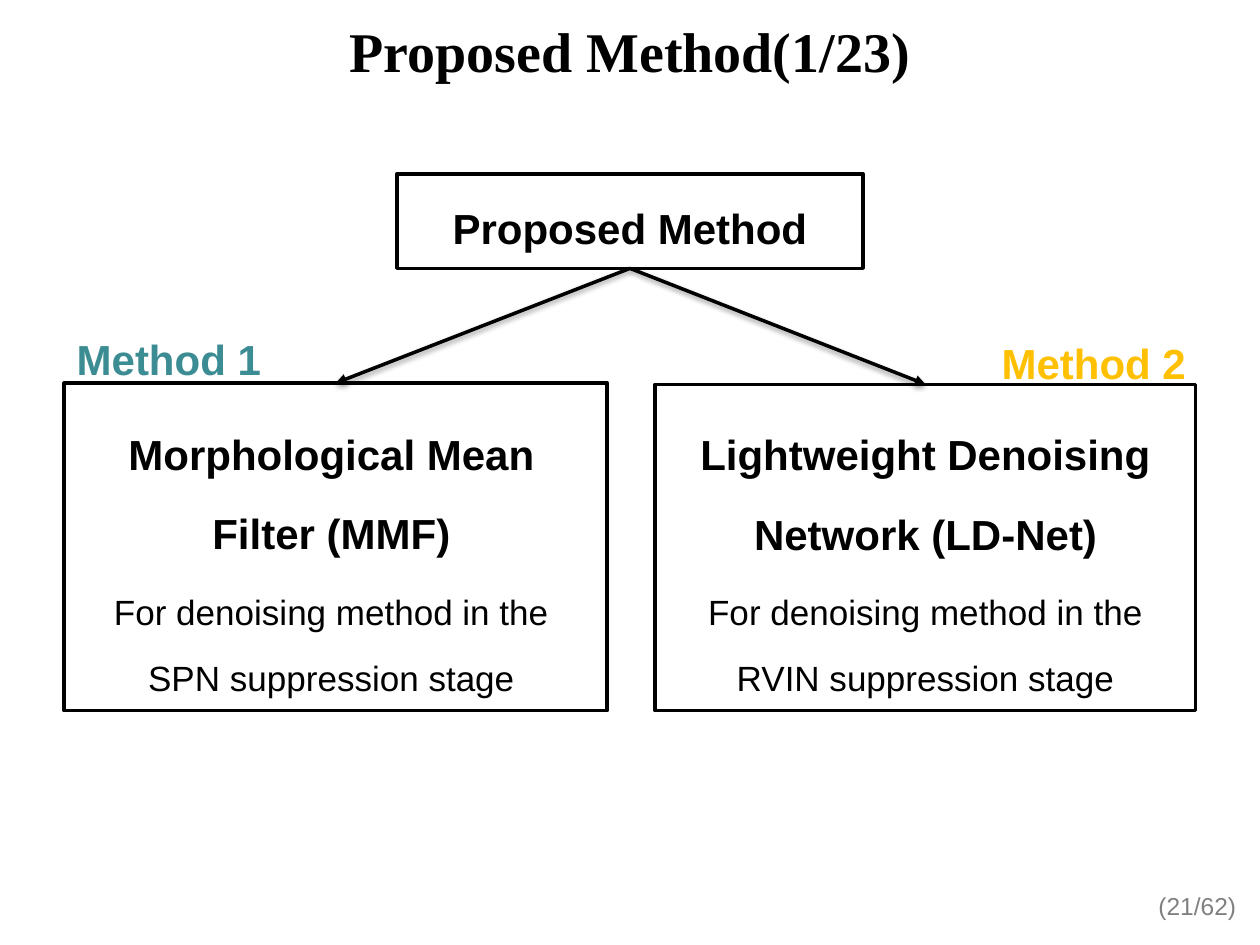
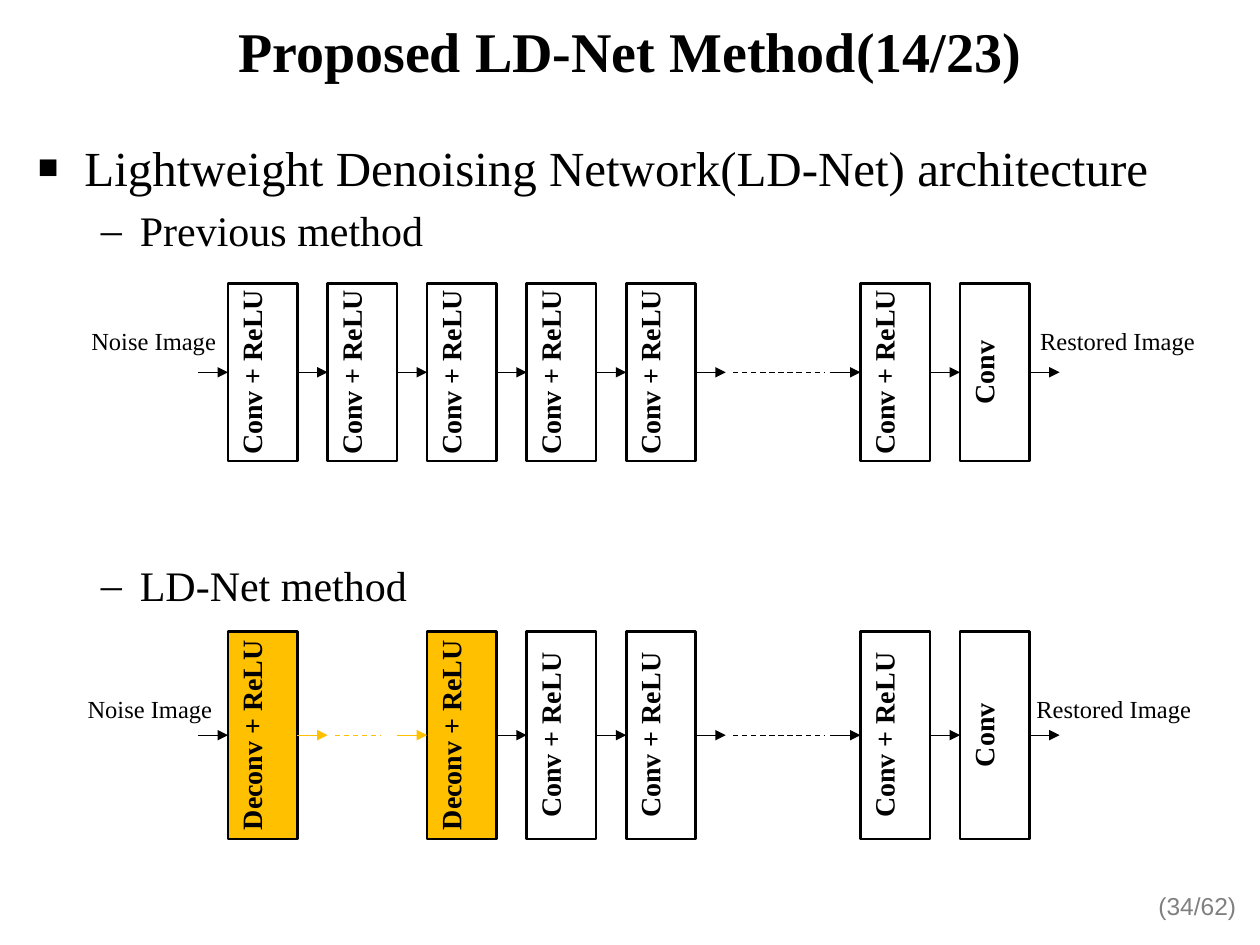
from lxml import etree
from pptx import Presentation
from pptx.dml.color import RGBColor
from pptx.enum.dml import MSO_LINE_DASH_STYLE as Dash
from pptx.enum.shapes import MSO_CONNECTOR as Link, MSO_SHAPE as Shape
from pptx.enum.text import MSO_ANCHOR as Anchor, MSO_AUTO_SIZE as Fit, PP_ALIGN as Align
from pptx.oxml import parse_xml
from pptx.oxml.ns import nsdecls, qn
from pptx.util import Inches, Pt

COLORS = {"ink": "000000", "paper": "FFFFFF", "gold": "FFC000",
          "teal": "3C8C93", "gray": "808080"}
SANS, SERIF = "Arial", "Times New Roman"
TOP, LEFT, BOTTOM, RIGHT = 0, 1, 2, 3
LOOSE = 1.57
LAYER_WIDTH, LAYER_PITCH, STUB = 0.55, 0.79, 0.24
LAST_OFFSETS = [5.02, 5.81]


def rgb(name):
    return RGBColor.from_string(COLORS[name])


def inches(*lengths):
    return [Inches(length) for length in lengths]


def add_span(para, text, size, font=SANS, color="ink", bold=False):
    span = para.add_run()
    span.text = text
    span.font.name = font
    span.font.size = Pt(size)
    span.font.bold = bold
    span.font.color.rgb = rgb(color)


def add_label(page, at, text, size, align, spacing=1.0, wrap=True, **style):
    frame = page.shapes.add_textbox(*inches(*at)).text_frame
    frame.word_wrap = wrap
    para = frame.paragraphs[0]
    para.alignment = align
    para.line_spacing = spacing
    add_span(para, text, size, **style)


def add_box(page, at, fill="paper", weight=2):
    box = page.shapes.add_shape(Shape.RECTANGLE, *inches(*at))
    box.shadow.inherit = False
    box.fill.solid()
    box.fill.fore_color.rgb = rgb(fill)
    box.line.color.rgb = rgb("ink")
    box.line.width = Pt(weight)
    box.text_frame.word_wrap = True
    return box


def add_line(page, start, end, color="ink", weight=0.75, arrow=True, shadow=False):
    line = page.shapes.add_connector(Link.STRAIGHT, *inches(*start, *end))
    line.line.color.rgb = rgb(color)
    line.line.width = Pt(weight)
    if arrow:
        etree.SubElement(line.line._get_or_add_ln(), qn("a:tailEnd"), type="triangle")
    else:
        line.line.dash_style = Dash.DASH
    effect = ""
    if shadow:
        effect = ('<a:outerShdw blurRad="40000" dist="20000" dir="5400000" rotWithShape="0">'
                  f'<a:srgbClr val="{COLORS["ink"]}"><a:alpha val="38000"/></a:srgbClr>'
                  '</a:outerShdw>')
    line.element.spPr.append(parse_xml(
        f'<a:effectLst {nsdecls("a")}>{effect}</a:effectLst>'))
    return line


def place(holder, at):
    holder.left, holder.top, holder.width, holder.height = inches(*at)
    holder.text_frame.auto_size = Fit.NONE
    holder.text_frame.word_wrap = True


def add_page(deck, layout, title, number):
    page = deck.slides.add_slide(deck.slide_layouts[layout])
    holder = page.shapes.title
    place(holder, (0, 0, 10, 0.79))
    holder.text_frame.vertical_anchor = Anchor.MIDDLE
    para = holder.text_frame.paragraphs[0]
    para.alignment = Align.CENTER
    add_span(para, title, 32, SERIF, bold=True)
    add_label(page, (8.91, 7.02, 1, 0.4), f"({number}/62)", 14, Align.RIGHT, color="gray")
    return page


def add_method(page, at, name, purpose, sides):
    box = add_box(page, at)
    frame = box.text_frame
    frame.vertical_anchor = Anchor.MIDDLE
    frame.margin_left, frame.margin_right = inches(*sides)
    frame.margin_top = Inches(0.08)
    for index, (text, size) in enumerate([(name, 24), (purpose, 20)]):
        para = frame.add_paragraph() if index else frame.paragraphs[0]
        para.alignment = Align.CENTER
        para.line_spacing = LOOSE
        para.space_before = Pt(4.8 * index)
        add_span(para, text, size, bold=not index)
    return box


def build_overview(deck):
    page = add_page(deck, 5, "Proposed Method(1/23)", 21)
    root = add_box(page, (3.15, 1.38, 3.7, 0.75))
    frame = root.text_frame
    frame.vertical_anchor = Anchor.TOP
    frame.margin_left = frame.margin_right = frame.margin_top = frame.margin_bottom = 0
    para = frame.paragraphs[0]
    para.alignment = Align.CENTER
    para.line_spacing = LOOSE
    add_span(para, "Proposed Method", 24, bold=True)

    methods = [
        add_method(page, (0.51, 3.04, 4.31, 2.6), "Morphological Mean Filter (MMF)",
                   "For denoising method in the SPN suppression stage", (0.21, 0.28)),
        add_method(page, (5.2, 3.05, 4.29, 2.59), "Lightweight Denoising Network (LD-Net)",
                   "For denoising method in the RVIN suppression stage", (0.1, 0.1)),
    ]
    for method, x in zip(methods, (2.66, 7.34)):
        branch = add_line(page, (5, 2.13), (x, 3.04), weight=2, shadow=True)
        branch.begin_connect(root, BOTTOM)
        branch.end_connect(method, TOP)
    add_label(page, (0.51, 2.37, 4.31, 0.64), "Method 1", 24, Align.LEFT, LOOSE,
              color="teal", bold=True)
    add_label(page, (5.2, 2.4, 4.31, 0.64), "Method 2", 24, Align.RIGHT, LOOSE,
              color="gold", bold=True)


def add_bullet(para, mark, indent, hanging, scale=100):
    props = para._p.get_or_add_pPr()
    props.set("marL", str(Inches(indent)))
    props.set("indent", str(-Inches(hanging)))
    etree.SubElement(props, qn("a:buSzPct"), val=str(scale * 1000))
    etree.SubElement(props, qn("a:buFont"), typeface=SERIF)
    etree.SubElement(props, qn("a:buChar"), char=mark)


def fill_outline(holder):
    place(holder, (0.2, 1.04, 9.69, 5.77))
    items = [("Lightweight Denoising Network(LD-Net) architecture", 28, 0, 0),
             ("Previous method", 24, 1, 5), ("LD-Net method", 24, 1, 174)]
    frame = holder.text_frame
    for index, (text, size, level, before) in enumerate(items):
        para = frame.add_paragraph() if index else frame.paragraphs[0]
        para.level = level
        if level:
            add_bullet(para, "–", 0.81, 0.31)
        else:
            add_bullet(para, "■", 0.37, 0.37, 70)
        para.space_before = Pt(before)
        add_span(para, text, size, SERIF)


def add_layer(page, at, label, fill):
    box = add_box(page, at, fill, 1.5)
    box.element.txBody.bodyPr.set("vert", "vert270")
    frame = box.text_frame
    frame.vertical_anchor = Anchor.TOP
    frame.margin_top = frame.margin_bottom = 0
    para = frame.paragraphs[0]
    para.alignment = Align.CENTER
    add_span(para, label, 16, SERIF, bold=True)
    return box


def add_flow(page, x, y, length=STUB, source=None, target=None, color="ink"):
    flow = add_line(page, (x, y), (x + length, y), color)
    if source:
        flow.begin_connect(source, RIGHT)
    if target:
        flow.end_connect(target, LEFT)


def add_network(page, left, top, height, layers, note_left, note_top):
    middle = top + height / 2
    placed = []
    for offset, label, fill in layers:
        x = left + offset
        placed.append((x, fill, add_layer(page, (x, top, LAYER_WIDTH, height), label, fill)))

    add_flow(page, left - STUB, middle, target=placed[0][2])
    for (x, fill, source), (next_x, _, target) in zip(placed, placed[1:]):
        edge = x + LAYER_WIDTH
        if next_x - edge < 2 * STUB:
            add_flow(page, edge, middle, next_x - edge, source, target)
            continue
        color, rest = ("gold", 0.37) if fill == "gold" else ("ink", 0.28)
        add_flow(page, edge, middle, source=source, color=color)
        add_line(page, (edge + 0.3, middle), (next_x - rest, middle), color, arrow=False)
        add_flow(page, next_x - STUB, middle, target=target, color=color)
    add_flow(page, placed[-1][0] + LAYER_WIDTH, middle, source=placed[-1][2])

    for x, width, text in [(note_left, 1.2, "Noise Image"),
                           (note_left + 7.53, 1.44, "Restored Image")]:
        add_label(page, (x, note_top, width, 0.34), text, 14, Align.CENTER,
                  wrap=False, font=SERIF)


def build_architecture(deck):
    page = add_page(deck, 1, "Proposed LD-Net Method(14/23)", 34)
    fill_outline(page.placeholders[1])
    offsets = [column * LAYER_PITCH for column in range(5)] + LAST_OFFSETS
    previous = [(offset, "Conv + ReLU", "paper") for offset in offsets[:-1]]
    previous.append((offsets[-1], "Conv", "paper"))
    deconvolved = [(offsets[column], "Deconv + ReLU", "gold") for column in (0, 2)]
    add_network(page, 1.81, 2.25, 1.41, previous, 0.62, 2.54)
    add_network(page, 1.81, 5.01, 1.65, deconvolved + previous[3:], 0.59, 5.46)


def main():
    deck = Presentation()
    deck.slide_width, deck.slide_height = inches(10, 7.5)
    build_overview(deck)
    build_architecture(deck)
    deck.save("out.pptx")


if __name__ == "__main__":
    main()
